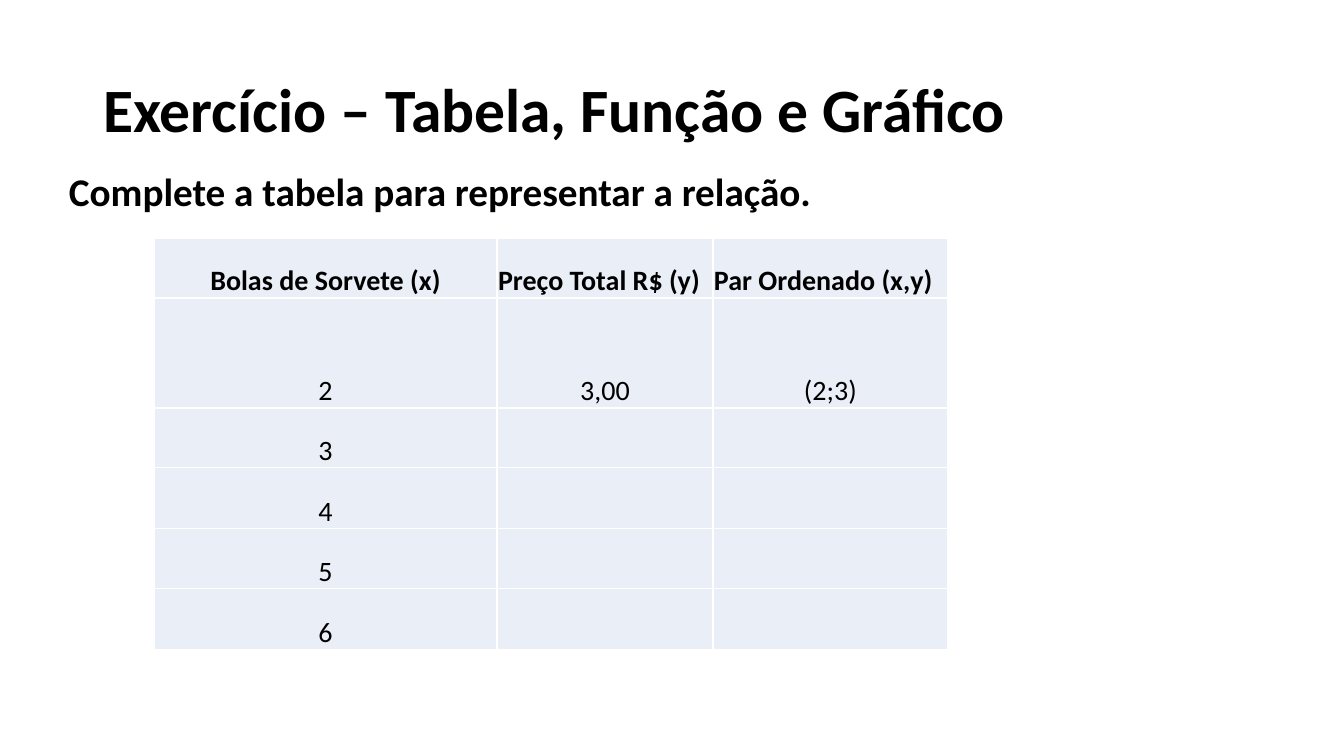
from lxml.etree import SubElement
from pptx import Presentation
from pptx.dml.color import RGBColor
from pptx.enum.text import MSO_ANCHOR, PP_ALIGN
from pptx.oxml.ns import qn
from pptx.util import Emu, Pt

EMU_PER_PX = 914400 / 100.8
COLORS = {"text": "000000", "cell": "EAEFF7", "border": "FFFFFF"}

COLUMN_WIDTHS = [343, 216, 235]
ROW_HEIGHTS = [60, 110, 60, 61, 60, 61]
ROWS = [
    ["Bolas de Sorvete (x)", "Preço Total R$ (y)", "Par Ordenado (x,y)"],
    ["2", "3,00", "(2;3)"],
    ["3", "", ""],
    ["4", "", ""],
    ["5", "", ""],
    ["6", "", ""],
]


def px(length):
    return Emu(round(length * EMU_PER_PX))


class SlideBuilder:
    font_name = "Calibri"

    def __init__(self, deck):
        self.slide = deck.slides.add_slide(deck.slide_layouts[5])

    def set_text(self, frame, text, size, bold=False, align=PP_ALIGN.LEFT):
        frame.text = text
        para = frame.paragraphs[0]
        para.alignment = align
        for span in para.runs:
            span.font.name = self.font_name
            span.font.size = Pt(size)
            span.font.bold = bold
            span.font.color.rgb = RGBColor.from_string(COLORS["text"])
        return para

    def title(self, text, left, top, width, height):
        box = self.slide.shapes.title
        box.left, box.top, box.width, box.height = map(px, (left, top, width, height))
        box.text_frame.vertical_anchor = MSO_ANCHOR.MIDDLE
        self.set_text(box.text_frame, text, 44, bold=True).line_spacing = 0.9

    def instruction(self, text, left, top, width, height):
        box = self.slide.shapes.add_textbox(*map(px, (left, top, width, height)))
        box.text_frame.word_wrap = True
        para = self.set_text(box.text_frame, text, 28, bold=True)
        para.line_spacing = 0.9
        para.space_before = Pt(10)

    def table(self, rows, left, top, column_widths, row_heights):
        size = sum(column_widths), sum(row_heights)
        table = self.slide.shapes.add_table(
            len(rows), len(column_widths), *map(px, (left, top, *size))
        ).table
        table.first_row = table.horz_banding = False
        for column, width in zip(table.columns, column_widths):
            column.width = px(width)
        for row, height in zip(table.rows, row_heights):
            row.height = px(height)
        for row_index, texts in enumerate(rows):
            for column_index, text in enumerate(texts):
                is_header = row_index == 0
                is_left = is_header and column_index > 0
                align = PP_ALIGN.LEFT if is_left else PP_ALIGN.CENTER
                self.cell(table.cell(row_index, column_index), text, is_header, align)

    def cell(self, cell, text, bold, align):
        self.border(cell)
        cell.fill.solid()
        cell.fill.fore_color.rgb = RGBColor.from_string(COLORS["cell"])
        cell.vertical_anchor = MSO_ANCHOR.BOTTOM
        cell.margin_left = cell.margin_right = cell.margin_top = px(1)
        cell.margin_bottom = 0
        self.set_text(cell.text_frame, text, 20, bold, align)

    def border(self, cell):
        """Add four thin borders; they must come before the cell's fill."""
        properties = cell._tc.get_or_add_tcPr()
        for side in ("a:lnL", "a:lnR", "a:lnT", "a:lnB"):
            line = SubElement(properties, qn(side), w=str(Pt(1)))
            fill = SubElement(line, qn("a:solidFill"))
            SubElement(fill, qn("a:srgbClr"), val=COLORS["border"])


def main():
    deck = Presentation()
    deck.slide_width, deck.slide_height = px(1344), px(756)
    page = SlideBuilder(deck)
    page.title("Exercício – Tabela, Função e Gráfico", 93, 40, 1159, 146)
    page.instruction("Complete a tabela para representar a relação.", 59, 168, 1192, 513)
    page.table(ROWS, 154, 238, COLUMN_WIDTHS, ROW_HEIGHTS)
    deck.save("out.pptx")


if __name__ == "__main__":
    main()
